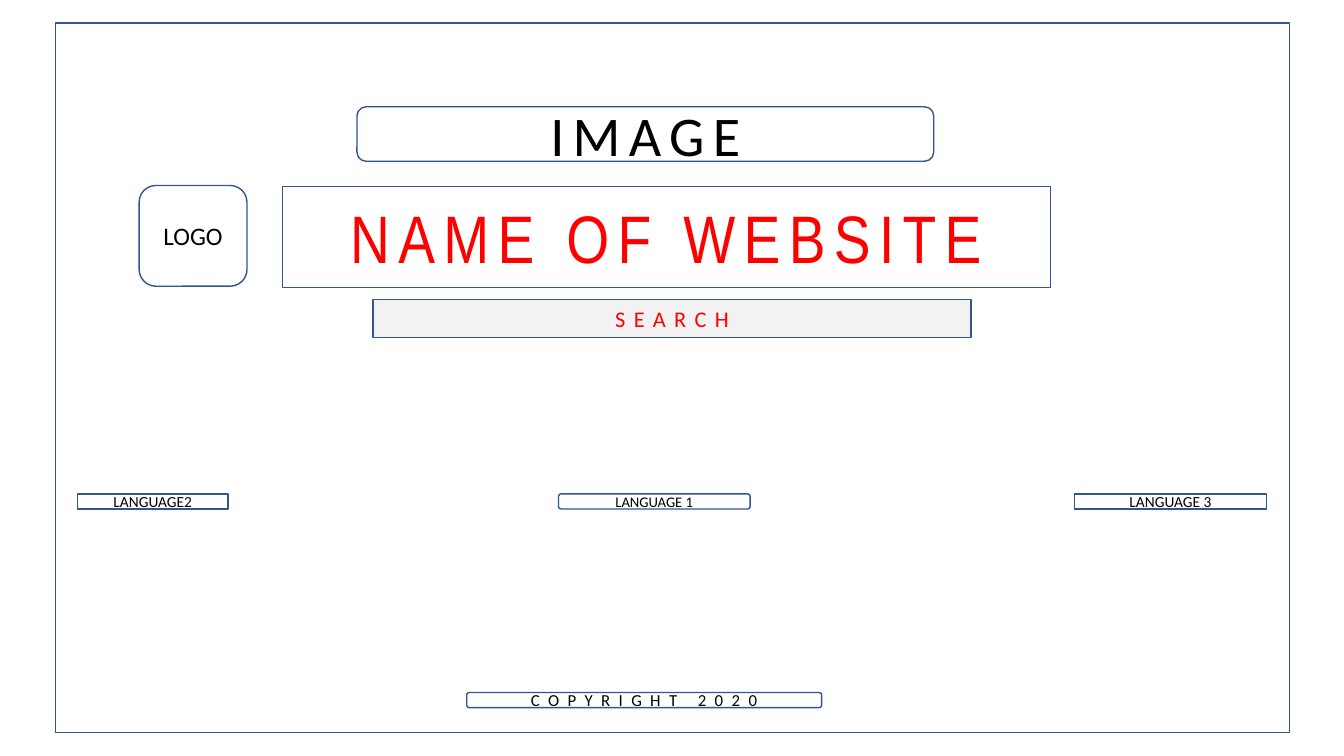
import pptx
import pptx.util
import pptx.dml.color
import pptx.enum.shapes
import pptx.enum.text

BLUE, RED, BLACK, WHITE, GREY = "325491", "FF0000", "000000", "FFFFFF", "F2F2F2"
RECT = pptx.enum.shapes.MSO_SHAPE.RECTANGLE
ROUND = pptx.enum.shapes.MSO_SHAPE.ROUNDED_RECTANGLE
WIDE = 6
LANGUAGE_TOP, THIN = 65.33, 2

FRAME = (4.13, 3.07, 91.82, 93.87)
TITLE = ("NAME OF WEBSITE", (21, 24.67, 57.16, 13.33))
BOXES = [
    ("SEARCH", RECT, (27.76, 39.6, 44.49, 5.07), GREY, RED, 16, WIDE),
    ("LANGUAGE2", RECT, (5.78, LANGUAGE_TOP, 11.18, THIN), WHITE, BLACK, 11, 0),
    ("LANGUAGE 1", ROUND, (41.56, LANGUAGE_TOP, 14.25, THIN), WHITE, BLACK, 10.5, 0),
    ("LANGUAGE 3", RECT, (79.97, LANGUAGE_TOP, 14.25, THIN), WHITE, BLACK, 11, 0),
    ("IMAGE", ROUND, (26.56, 14.13, 42.91, 7.2), WHITE, BLACK, 40, WIDE),
    ("LOGO", ROUND, (10.35, 24.53, 8.03, 13.33), WHITE, BLACK, 18, 0),
    ("COPYRIGHT 2020", ROUND, (34.73, 91.6, 26.41, THIN), WHITE, BLACK, 12, WIDE),
]

prs = pptx.Presentation()
prs.slide_width = pptx.util.Inches(13.33)
prs.slide_height = pptx.util.Inches(7.5)
s = prs.slides.add_slide(prs.slide_layouts[5])


def color(value):
    return pptx.dml.color.RGBColor.from_string(value)


def place(percent):
    sizes = (prs.slide_width, prs.slide_height) * 2
    return [round(size * share / 100) for size, share in zip(sizes, percent)]


def outline(sp, fill=None):
    if fill:
        sp.fill.solid()
        sp.fill.fore_color.rgb = color(fill)
    else:
        sp.fill.background()
    sp.line.color.rgb = color(BLUE)
    sp.line.width = pptx.util.Pt(1)


def write(sp, text, font, size, ink, spacing):
    tf = sp.text_frame
    tf.word_wrap = True
    tf.auto_size = pptx.enum.text.MSO_AUTO_SIZE.NONE
    tf.vertical_anchor = pptx.enum.text.MSO_ANCHOR.MIDDLE
    p = tf.paragraphs[0]
    p.alignment = pptx.enum.text.PP_ALIGN.CENTER
    r = p.add_run()
    r.text = text
    r.font.name = font
    r.font.size = pptx.util.Pt(size)
    r.font.color.rgb = color(ink)
    if spacing:
        r._r.get_or_add_rPr().set("spc", str(spacing * 100))


def add_box(kind, percent, fill=None):
    sp = s.shapes.add_shape(kind, *place(percent))
    sp.shadow.inherit = False
    outline(sp, fill)
    return sp


add_box(RECT, FRAME)

title = s.shapes.title
name, area = TITLE
title.left, title.top, title.width, title.height = place(area)
outline(title)
write(title, name, "Arial Narrow", 48, RED, WIDE)

for text, kind, area, fill, ink, size, spacing in BOXES:
    write(add_box(kind, area, fill), text, "Calibri", size, ink, spacing)

prs.save("out.pptx")
